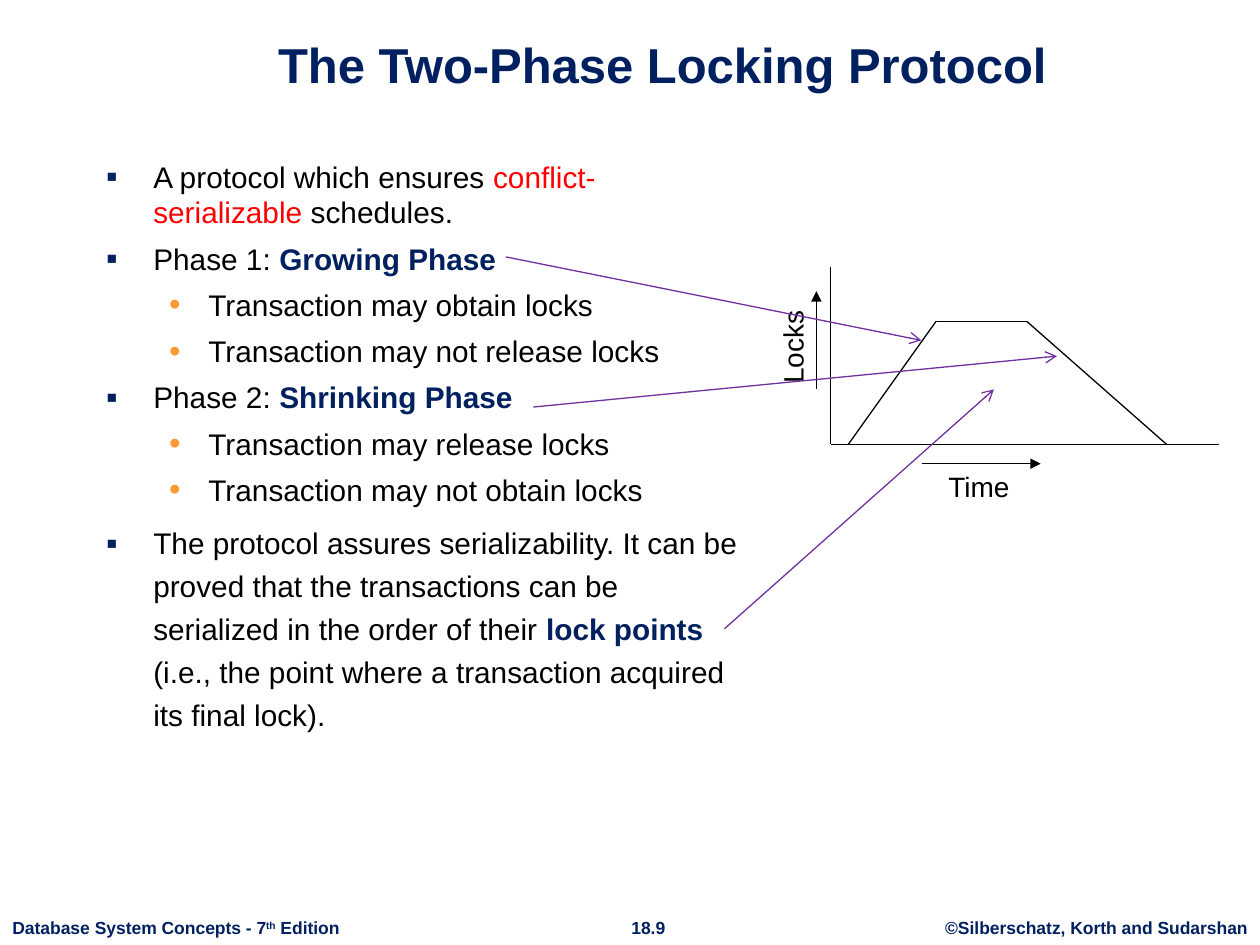
from lxml.etree import SubElement
from pptx import Presentation
from pptx.dml.color import RGBColor
from pptx.enum.shapes import MSO_CONNECTOR
from pptx.enum.text import MSO_ANCHOR, PP_ALIGN
from pptx.oxml.ns import qn
from pptx.util import Pt

NAVY, RED, BLACK, PURPLE, ORANGE = "002060", "FF0000", "000000", "7030A0", "FF9933"
BOLD = {"bold": True, "color": NAVY}
# Indent, hanging indent, bullet and bullet colour by level
LEVELS = [(27, -27, "▪", NAVY), (58.5, -22.5, "•", ORANGE)]
POINTS = [
    (0, 1.0, [("A protocol which ensures ", {}),
              ("conflict-serializable", {"color": RED}), (" schedules.", {})]),
    (0, 1.0, [("Phase 1: ", {}), ("Growing Phase", BOLD)]),
    (1, 1.0, [("Transaction may obtain locks", {})]),
    (1, 1.0, [("Transaction may not release locks", {})]),
    (0, 1.0, [("Phase 2: ", {}), ("Shrinking Phase", BOLD)]),
    (1, 1.0, [("Transaction may release locks", {})]),
    (1, 1.0, [("Transaction may not obtain locks", {})]),
    (0, 1.2, [("The protocol assures serializability. It can be proved that the "
               "transactions can be serialized in the order of their ", {}),
              ("lock points  ", BOLD),
              ("(i.e., the point where a transaction acquired its final lock).", {})]),
]


def paint(code):
    return RGBColor.from_string(code)


def format_all(item, values):
    for name, value in values.items():
        setattr(item, name, value)


def add_run(para, text, size, color=BLACK, bold=False):
    run = para.add_run()
    run.text = text
    format_all(run.font, {"name": "Arial", "size": Pt(size), "bold": bold})
    run.font.color.rgb = paint(color)
    return run


def add_text(shapes, box, wrap=True):
    shape = shapes.add_textbox(*map(Pt, box))
    shape.text_frame.word_wrap = wrap
    return shape


def add_line(shapes, start, end, color=BLACK, head=None):
    line = shapes.add_connector(MSO_CONNECTOR.STRAIGHT, *map(Pt, (*start, *end)))
    line.line.width = Pt(0.75)
    line.line.color.rgb = paint(color)
    props = line._element.spPr
    if head:
        SubElement(props.find(qn("a:ln")), qn("a:tailEnd"), type=head)
    SubElement(props, qn("a:effectLst"))


def add_bullet(para, level):
    left, hang, mark, color = LEVELS[level]
    props = para._p.get_or_add_pPr()
    props.set("marL", str(Pt(left)))
    props.set("indent", str(Pt(hang)))
    tint = SubElement(props, qn("a:buClr"))
    SubElement(tint, qn("a:srgbClr"), val=color)
    SubElement(props, qn("a:buSzPct"), val="110000")
    SubElement(props, qn("a:buFont"), typeface="Arial")
    SubElement(props, qn("a:buChar"), char=mark)


def add_title(slide, box):
    title = slide.shapes.title
    format_all(title, dict(zip(("left", "top", "width", "height"), map(Pt, box))))
    frame = title.text_frame
    format_all(frame, {"vertical_anchor": MSO_ANCHOR.BOTTOM, "word_wrap": True})
    para = frame.paragraphs[0]
    para.alignment = PP_ALIGN.CENTER
    add_run(para, "The Two-Phase Locking Protocol", 28, **BOLD)


def add_body(slide, box):
    frame = add_text(slide.shapes, box).text_frame
    for i, (level, space, runs) in enumerate(POINTS):
        para = frame.add_paragraph() if i else frame.paragraphs[0]
        format_all(para, {"level": level, "line_spacing": space,
                          "space_before": Pt(6 if i else 0)})
        add_bullet(para, level)
        for text, style in runs:
            add_run(para, text, 17, **style)


def add_graph(slide, box):
    left, top, width, height = box
    shapes = slide.shapes.add_group_shape().shapes

    def at(x, y):
        return left + x, top + y

    # Lock count: grows, holds, shrinks
    curve = [(10, height), (60.2, 30.8), (112, 30.8), (192, height)]
    for start, end in zip(curve, curve[1:]):
        add_line(shapes, at(*start), at(*end))
    # Axes
    add_line(shapes, at(0, 0), at(0, height))
    add_line(shapes, at(0, height), at(width, height))
    # Axis labels
    for text, spot, turn in (("Time", (60.2, 112.2), 0), ("Locks", (-53.5, 28.6), 270)):
        label = add_text(shapes, (*at(*spot), 63.5, 26.5))
        label.rotation = turn
        add_run(label.text_frame.paragraphs[0], text, 16)
    # Axis directions
    add_line(shapes, at(52, 112.2), at(120, 112.2), head="triangle")
    add_line(shapes, at(-8.2, 69.6), at(-8.2, 13.6), head="triangle")


def add_links(slide):
    for start, end in (((289, 146.8), (526.5, 194.5)),
                       ((304.8, 232.6), (604, 203.5)),
                       ((414, 359.3), (568, 222.5))):
        add_line(slide.shapes, start, end, PURPLE, "arrow")


def add_foot(slide, box):
    left, top, width, height = box
    parts = [
        (0, 202.5, PP_ALIGN.LEFT, ["Database System Concepts - 7", "th", " Edition"]),
        (350, 41, PP_ALIGN.CENTER, ["18.9"]),
        (width - 187, 187, PP_ALIGN.CENTER, ["©Silberschatz, Korth and Sudarshan"]),
    ]
    for x, wide, align, texts in parts:
        shape = add_text(slide.shapes, (left + x, top, wide, height), False)
        para = shape.text_frame.paragraphs[0]
        para.alignment = align
        for text in texts:
            run = add_run(para, text, 10, **BOLD)
            if text == "th":
                run.font._element.set("baseline", "30000")


def main():
    deck = Presentation()
    format_all(deck, {"slide_width": Pt(720), "slide_height": Pt(540)})
    slide = deck.slides.add_slide(deck.slide_layouts[5])
    add_foot(slide, (0, 520.7, 720, 19.3))
    add_title(slide, (60.5, 9, 636, 48))
    add_body(slide, (53.5, 87, 378, 422.5))
    add_graph(slide, (474.7, 152.8, 222, 101.2))
    add_links(slide)
    deck.save("out.pptx")


if __name__ == "__main__":
    main()
